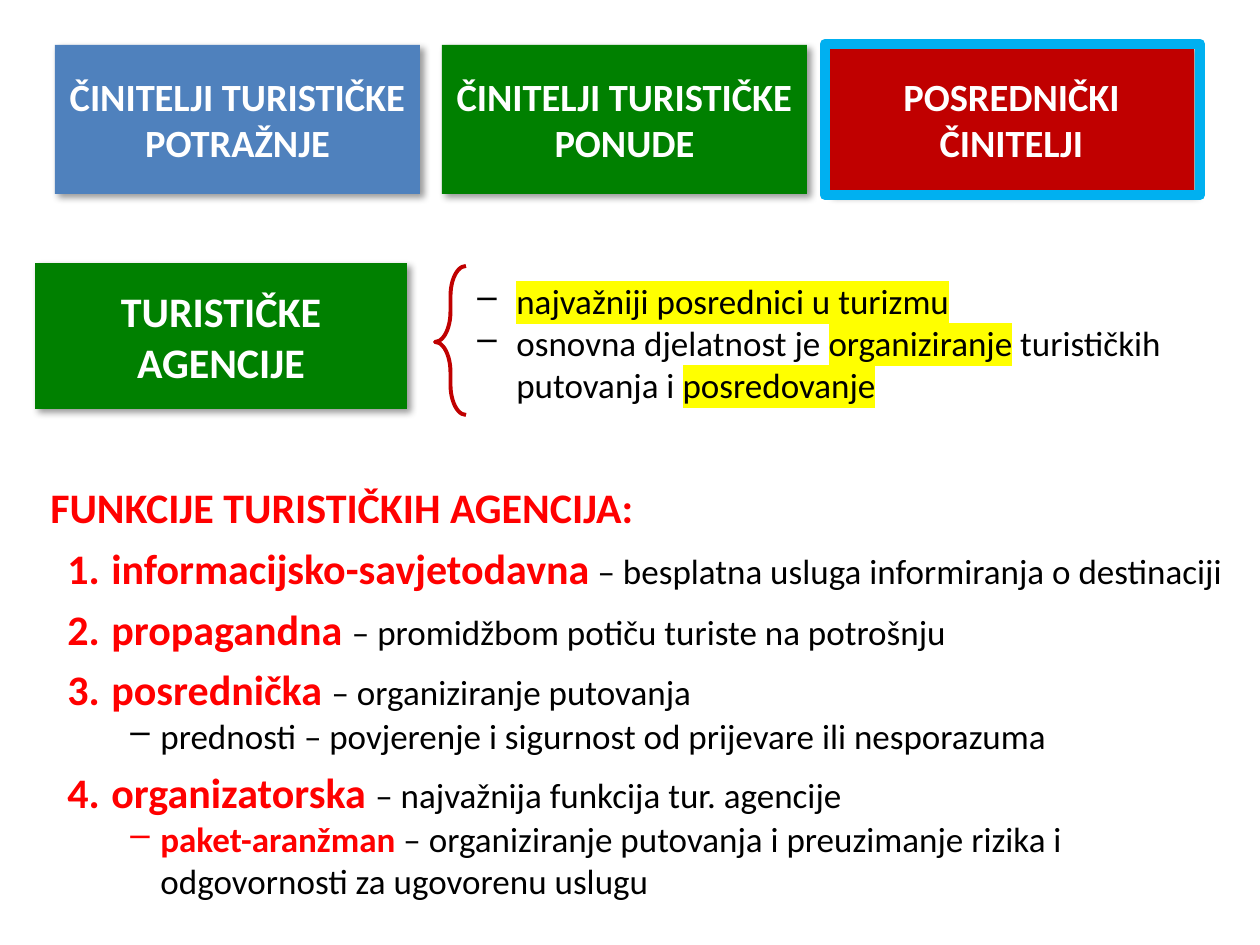
from dataclasses import dataclass

from lxml.etree import SubElement as Sub
from pptx import Presentation
from pptx.dml.color import RGBColor
from pptx.enum.shapes import MSO_SHAPE as Kind
from pptx.enum.text import MSO_ANCHOR as Anchor, MSO_AUTO_SIZE as Fit, PP_ALIGN as Align
from pptx.oxml.ns import qn
from pptx.util import Emu, Pt

SCALE = 914400 / 126
FONT = "Calibri"
BLACK, WHITE, RED = "000000", "FFFFFF", "FF0000"
GREEN, BLUE, DARK, CYAN, YELLOW = "008000", "4F81BD", "C00000", "00B0F0", "FFFF00"


@dataclass
class Area:
    left: int
    top: int
    width: int
    height: int


@dataclass
class Box:
    area: Area
    text: str
    size: int
    fill: str


@dataclass
class Run:
    text: str
    size: int = 20
    color: str = BLACK
    bold: bool = False
    mark: str = ""


@dataclass
class Style:
    level: int
    left: int
    hang: int
    before: int = 0
    bullet: str = ""
    number: bool = False


@dataclass
class Line:
    style: Style
    runs: list[Run]


def px(n: int) -> Emu:
    return Emu(round(n * SCALE))


def rgb(code: str) -> RGBColor:
    return RGBColor.from_string(code)


def place(area: Area) -> list[Emu]:
    return [px(n) for n in (area.left, area.top, area.width, area.height)]


def format_run(run, size: int, color: str, bold: bool, mark: str = "") -> None:
    font = run.font
    font.name, font.size, font.bold = FONT, Pt(size), bold
    font.color.rgb = rgb(color)
    if mark:
        props = run._r.get_or_add_rPr()
        light = Sub(props, qn("a:highlight"))
        Sub(light, qn("a:srgbClr"), val=mark)
        props.find(qn("a:solidFill")).addnext(light)


def add_shadow(shape) -> None:
    """Cast a soft shadow to the lower right."""
    effects = shape._element.spPr.find(qn("a:effectLst"))
    outer = Sub(effects, qn("a:outerShdw"), blurRad=str(Pt(4)), dist=str(Pt(3)),
                dir="2700000", algn="tl", rotWithShape="0")
    color = Sub(outer, qn("a:srgbClr"), val=BLACK)
    Sub(color, qn("a:alpha"), val="40000")


def draw_box(slide, box: Box) -> None:
    shape = slide.shapes.add_shape(Kind.RECTANGLE, *place(box.area))
    shape.shadow.inherit = False
    add_shadow(shape)
    shape.fill.solid()
    shape.fill.fore_color.rgb = rgb(box.fill)
    shape.line.fill.background()
    frame = shape.text_frame
    frame.word_wrap, frame.vertical_anchor = True, Anchor.MIDDLE
    frame.margin_left = frame.margin_right = px(5)
    frame.margin_top = frame.margin_bottom = 0
    frame.text = box.text
    para = frame.paragraphs[0]
    para.alignment = Align.CENTER
    format_run(para.runs[0], box.size, WHITE, True)


def draw_outline(slide, kind: Kind, area: Area, color: str, width: float):
    shape = slide.shapes.add_shape(kind, *place(area))
    shape.shadow.inherit = False
    shape.fill.background()
    shape.line.color.rgb = rgb(color)
    shape.line.width = Pt(width)
    return shape


def format_para(para, style: Style) -> None:
    para.level = style.level
    para.space_before = Pt(style.before)
    props = para._p.get_or_add_pPr()
    props.set("marL", str(px(style.left)))
    props.set("indent", str(px(-style.hang)))
    if style.number:
        Sub(props, qn("a:buAutoNum"), type="arabicPeriod")
    elif style.bullet:
        Sub(props, qn("a:buChar"), char=style.bullet)
    else:
        Sub(props, qn("a:buNone"))


def draw_text(slide, area: Area, lines: list[Line]) -> None:
    frame = slide.shapes.add_textbox(*place(area)).text_frame
    frame.word_wrap, frame.auto_size = True, Fit.SHAPE_TO_FIT_TEXT
    for i, line in enumerate(lines):
        para = frame.add_paragraph() if i else frame.paragraphs[0]
        format_para(para, line.style)
        for part in line.runs:
            run = para.add_run()
            run.text = part.text
            format_run(run, part.size, part.color, part.bold, part.mark)


def key(text: str, size: int = 24) -> Run:
    return Run(text, size, RED, True)


NOTE = Style(0, 39, 39, bullet="–")
HEAD = Style(1, 48, 35, before=6)
ITEM = Style(2, 74, 44, before=6, number=True)
DASH = Style(3, 123, 30, bullet="–")

FACTORS = [
    ("ČINITELJI TURISTIČKE POTRAŽNJE", BLUE),
    ("ČINITELJI TURISTIČKE PONUDE", GREEN),
    ("POSREDNIČKI ČINITELJI", DARK),
]
NOTES = [
    Line(NOTE, [Run("najvažniji posrednici u turizmu", mark=YELLOW)]),
    Line(NOTE, [Run("osnovna djelatnost je "), Run("organiziranje", mark=YELLOW),
                Run(" turističkih putovanja i "), Run("posredovanje", mark=YELLOW)]),
]
ROLES = [
    Line(HEAD, [key("FUNKCIJE TURISTIČKIH AGENCIJA:")]),
    Line(ITEM, [key("informacijsko-savjetodavna"),
                Run(" – besplatna usluga informiranja o destinaciji")]),
    Line(ITEM, [key("propagandna "), Run("– promidžbom potiču turiste na potrošnju")]),
    Line(ITEM, [key("posrednička "), Run("– organiziranje putovanja")]),
    Line(DASH, [Run("prednosti – povjerenje i sigurnost od prijevare ili nesporazuma")]),
    Line(ITEM, [key("organizatorska "), Run("– najvažnija funkcija tur. agencije")]),
    Line(DASH, [key("paket-aranžman", 20),
                Run(" – organiziranje putovanja i preuzimanje rizika i "
                    "odgovornosti za ugovorenu uslugu")]),
]


def main() -> None:
    deck = Presentation()
    deck.slide_width, deck.slide_height = px(1260), px(945)
    slide = deck.slides.add_slide(deck.slide_layouts[6])

    draw_box(slide, Box(Area(35, 263, 372, 146), "TURISTIČKE AGENCIJE", 24, GREEN))
    draw_text(slide, Area(465, 273, 767, 140), NOTES)
    for i, (text, fill) in enumerate(FACTORS):
        draw_box(slide, Box(Area(55 + 387 * i, 45, 365, 149), text, 22, fill))
    draw_outline(slide, Kind.RECTANGLE, Area(825, 44, 375, 151), CYAN, 6)
    draw_text(slide, Area(25, 475, 1235, 437), ROLES)

    brace = draw_outline(slide, Kind.RIGHT_BRACE, Area(435, 266, 31, 149), DARK, 2.25)
    brace.adjustments[0], brace.adjustments[1] = 0.98, 0.51
    brace._element.spPr.xfrm.set("flipH", "1")

    deck.save("out.pptx")


if __name__ == "__main__":
    main()
